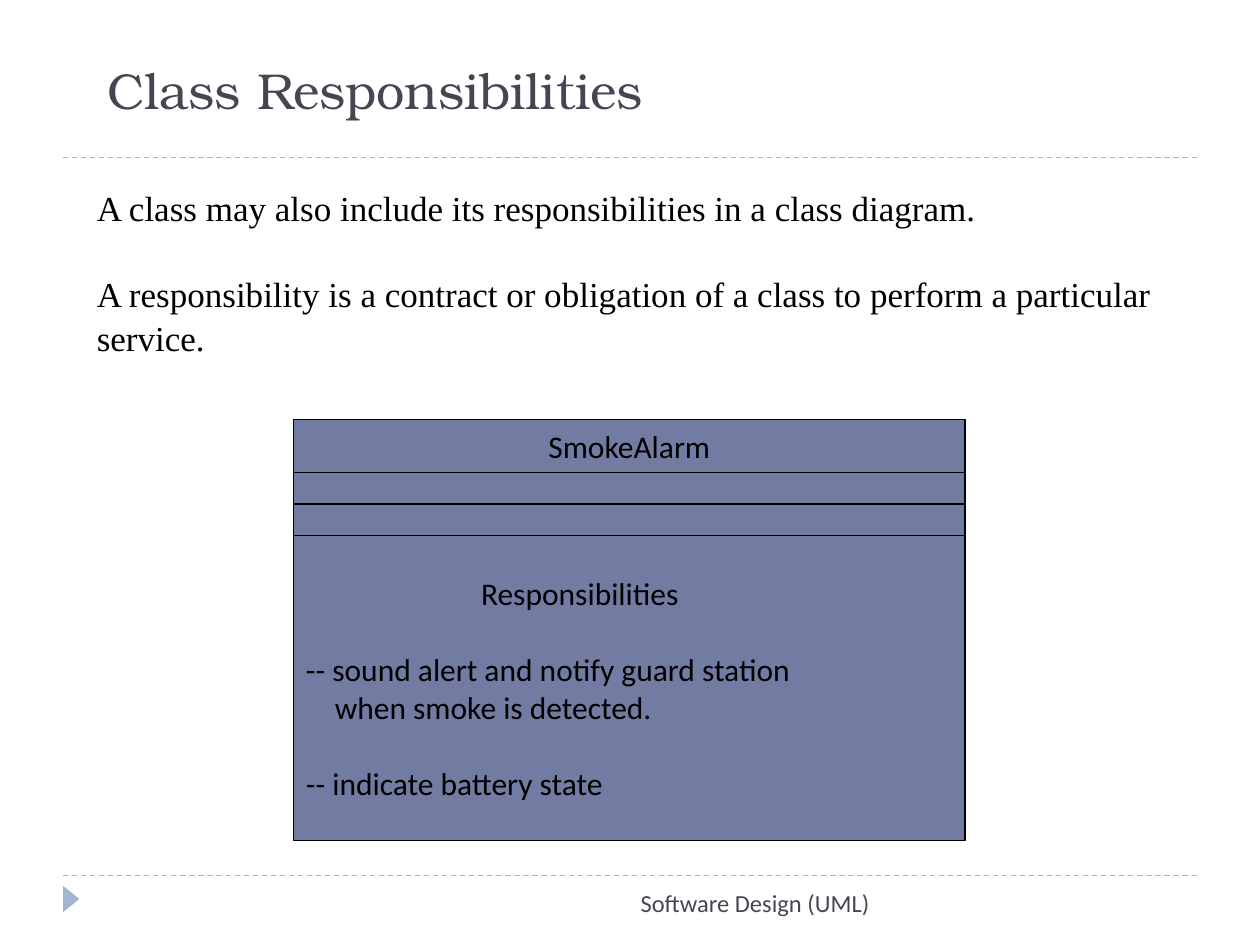
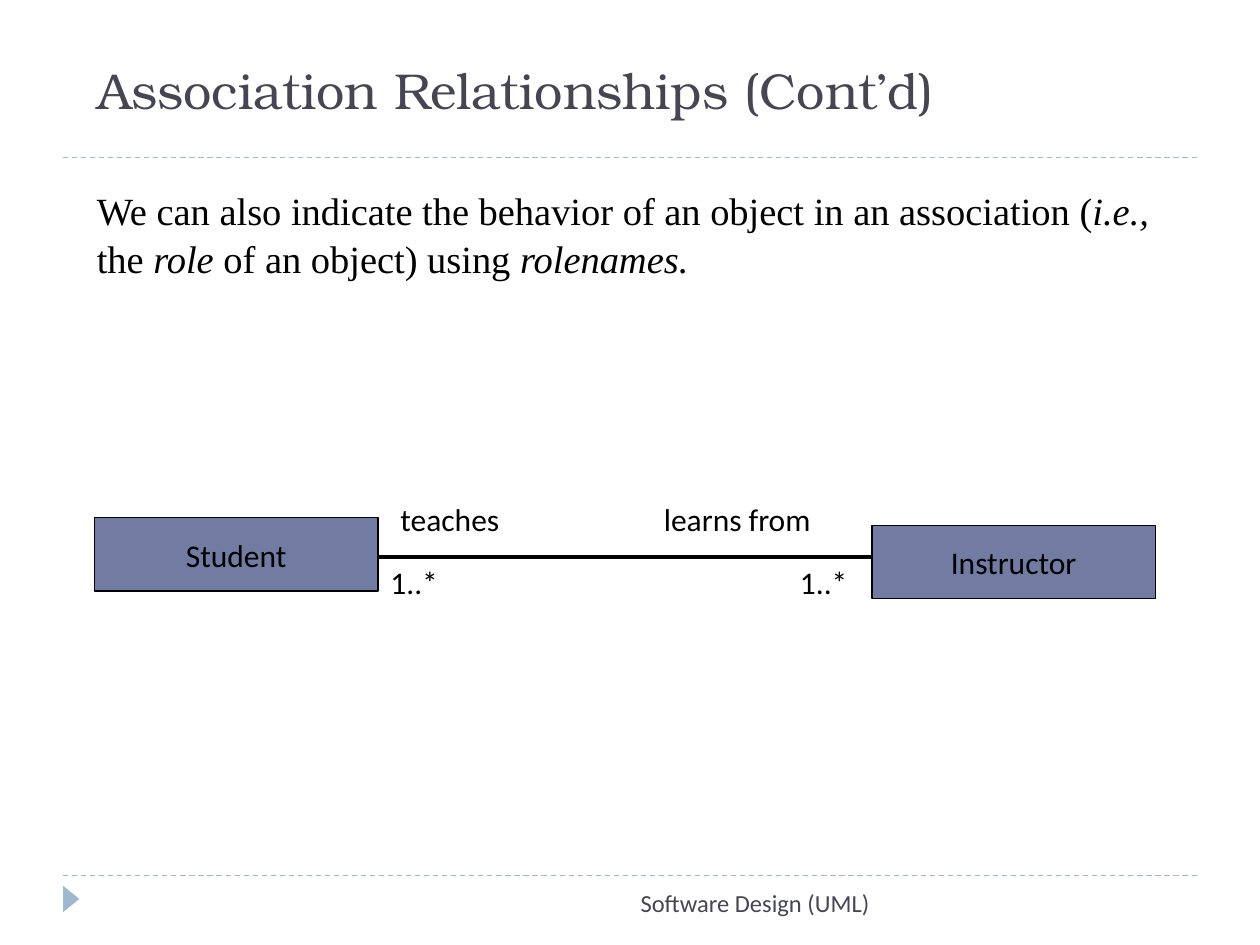
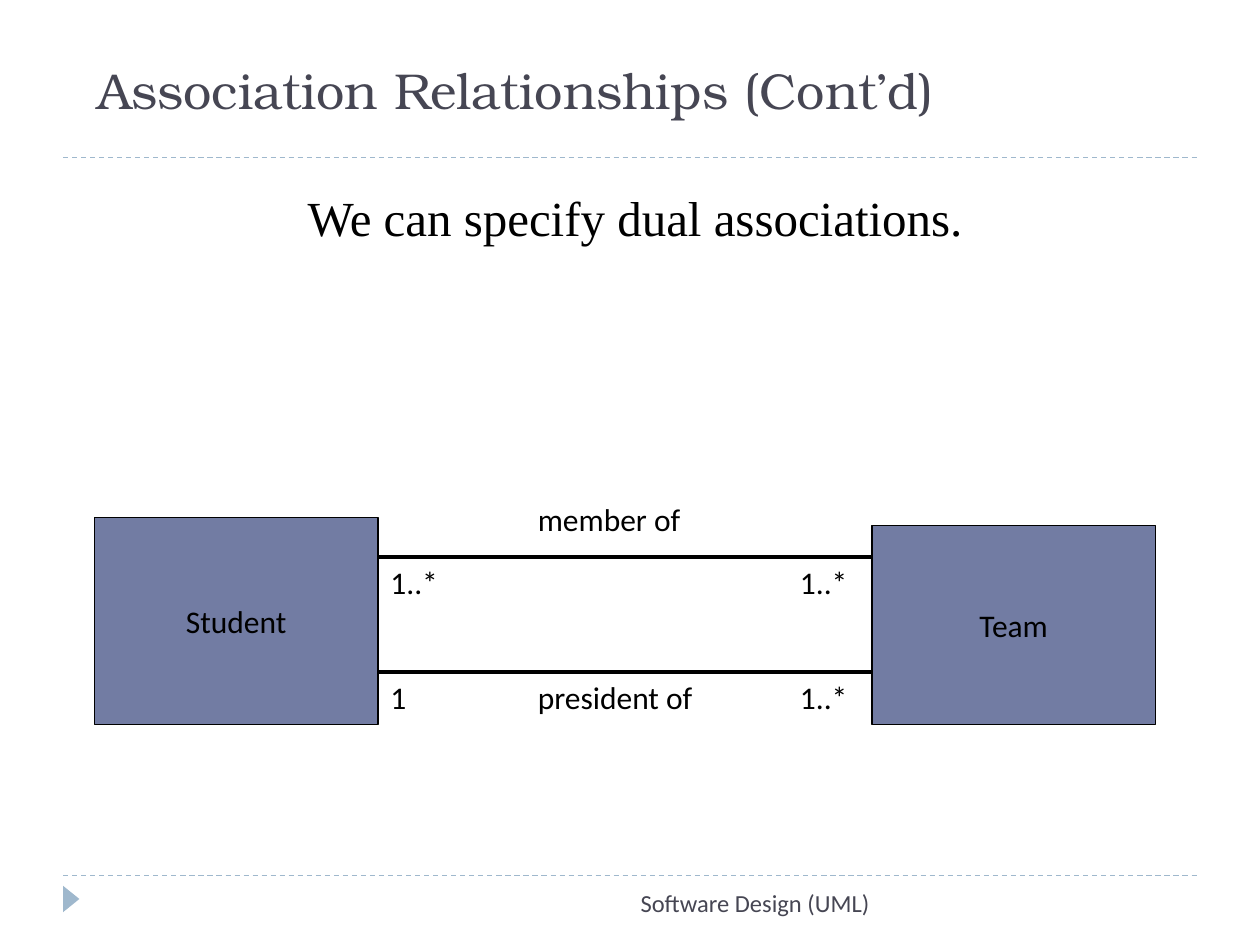
from dataclasses import dataclass

from lxml import etree
from pptx import Presentation
from pptx.dml.color import RGBColor as RGB
from pptx.enum.dml import MSO_LINE
from pptx.enum.shapes import MSO_CONNECTOR, MSO_SHAPE
from pptx.enum.text import MSO_ANCHOR as ANCHOR, PP_ALIGN as ALIGN
from pptx.oxml.ns import qn
from pptx.util import Inches, Pt


@dataclass(frozen=True)
class Theme:
    heading: RGB = RGB(0x46, 0x46, 0x53)
    accent: RGB = RGB(0x9F, 0xB8, 0xCD)
    box: RGB = RGB(0x72, 0x7C, 0xA3)
    ink: RGB = RGB(0, 0, 0)
    title_font: str = "TeX Gyre Bonum"
    body_font: str = "Times New Roman"
    label_font: str = "Calibri"
    title_size: float = 28.8
    label_size: float = 18
    footer_size: float = 14
    thin: float = 0.75
    thick: float = 2.25


class Deck:
    def __init__(self, theme):
        self.theme = theme
        self.prs = Presentation()
        self.prs.slide_width, self.prs.slide_height = Inches(10), Inches(7.5)
        self.slide = None

    def add_slide(self, title, left, width):
        t = self.theme
        self.slide = self.prs.slides.add_slide(self.prs.slide_layouts[5])
        for y in (6.95, 1.25):
            self.line(0.5, 9.5, y, t.accent, t.thin, MSO_LINE.DASH)
        marker = self.shape(MSO_SHAPE.ISOSCELES_TRIANGLE, 0.46, 7.07, 0.21, 0.13, t.accent)
        marker.rotation = 90
        self.text(2.58, 7, 4.42, 0.5, ["Software Design (UML)"], t.label_font,
                  t.footer_size, t.heading, ALIGN.RIGHT)

        sp = self.slide.shapes.title
        sp.left, sp.top, sp.width, sp.height = map(Inches, (left, 0.42, width, 0.58))
        self.fill_text(sp.text_frame, [title], t.title_font, t.title_size, t.heading,
                       ALIGN.LEFT, ANCHOR.BOTTOM)

    def fill_text(self, tf, lines, font, size, color, align=ALIGN.LEFT, anchor=ANCHOR.TOP):
        """Write one paragraph per line; *stars* set a part in italics."""
        tf.word_wrap = True
        tf.vertical_anchor = anchor
        for i, line in enumerate(lines):
            p = tf.add_paragraph() if i else tf.paragraphs[0]
            p.alignment = align
            for j, part in enumerate(line.split("*") if line.count("*") > 1 else [line]):
                if not part:
                    continue
                r = p.add_run()
                r.text = part
                r.font.name, r.font.size = font, Pt(size)
                r.font.color.rgb = color
                r.font.italic = j % 2 == 1

    def text(self, x, y, w, h, lines, font, size, color, align=ALIGN.LEFT):
        sp = self.slide.shapes.add_textbox(*map(Inches, (x, y, w, h)))
        self.fill_text(sp.text_frame, lines, font, size, color, align)
        return sp.text_frame

    def body(self, x, w, h, lines, size, align=ALIGN.LEFT):
        t = self.theme
        tf = self.text(x, 1.42, w, h, lines, t.body_font, size, t.ink, align)
        for i, p in enumerate(tf.paragraphs):
            p.line_spacing = 1.04
            if i:
                p.space_before = Pt(size * 1.2)

    def label(self, x, y, w, text):
        t = self.theme
        self.text(x, y, w, 0.5, [text], t.label_font, t.label_size, t.ink)

    def shape(self, kind, x, y, w, h, fill):
        sp = self.slide.shapes.add_shape(kind, *map(Inches, (x, y, w, h)))
        sp.shadow.inherit = False
        sp.fill.solid()
        sp.fill.fore_color.rgb = fill
        sp.line.fill.background()
        return sp

    def box(self, x, y, w, h, lines=(), align=ALIGN.CENTER):
        t = self.theme
        sp = self.shape(MSO_SHAPE.RECTANGLE, x, y, w, h, t.box)
        sp.line.color.rgb, sp.line.width = t.ink, Pt(t.thin)
        self.fill_text(sp.text_frame, lines, t.label_font, t.label_size, t.ink,
                       align, ANCHOR.MIDDLE)
        return sp.text_frame

    def line(self, x1, x2, y, color, width, dash=None):
        ln = self.slide.shapes.add_connector(
            MSO_CONNECTOR.STRAIGHT, *map(Inches, (x1, y, x2, y)))
        ln.line.color.rgb, ln.line.width = color, Pt(width)
        if dash:
            ln.line.dash_style = dash
        etree.SubElement(ln._element.spPr, qn("a:effectLst"))

    def association(self, y, left_count, right_count):
        self.line(3, 6.92, y, self.theme.ink, self.theme.thick)
        self.label(3, y, 0.75, left_count)
        self.label(6.25, y, 0.75, right_count)

    def class_pair(self, left_name, right_name, bottom_left, bottom_right):
        for x, top, bottom, name in ((0.75, 4.11, bottom_left, left_name),
                                     (6.92, 4.17, bottom_right, right_name)):
            self.box(x, top, 2.25, bottom - top, [name])


def responsibilities_slide(deck):
    deck.add_slide("Class Responsibilities", 0.75, 8.58)
    deck.body(0.67, 8.75, 1.45, [
        "A class may also include its responsibilities in a class diagram.",
        "A responsibility is a contract or obligation of a class to perform "
        "a particular service."], 20)
    left, width = 2.33, 5.33
    deck.box(left, 3.33, width, 0.42, ["SmokeAlarm"])
    for y in (3.75, 4):
        deck.box(left, y, width, 0.25)
    tf = deck.box(left, 4.25, width, 2.42, [
        "Responsibilities",
        "-- sound alert and notify guard station",
        "when smoke is detected.",
        "-- indicate battery state"], ALIGN.LEFT)
    heading, alert, alert_end, battery = tf.paragraphs
    for p, indent in ((heading, 1.39), (alert_end, 0.23)):
        p._p.get_or_add_pPr().set("marL", str(Inches(indent)))
    for p in (alert, battery):
        p.space_before = Pt(22)


def rolenames_slide(deck):
    deck.add_slide("Association Relationships (Cont’d)", 0.67, 9)
    deck.body(0.67, 8.87, 0.84, [
        "We can also indicate the behavior of an object in an association "
        "(*i.e.,* the *role *of an object) using *rolenames.*"], 22)
    deck.association(4.42, "1..*", "1..*")
    deck.class_pair("Student", "Instructor", 4.69, 4.75)
    deck.label(5.17, 3.92, 1.75, "learns from")
    deck.label(3.08, 3.92, 1.25, "teaches")


def dual_associations_slide(deck):
    deck.add_slide("Association Relationships (Cont’d)", 0.67, 8.83)
    deck.body(0.75, 8.58, 0.57, ["We can specify dual associations."], 28, ALIGN.CENTER)
    deck.association(4.42, "1..*", "1..*")
    deck.association(5.33, "1", "1..*")
    deck.class_pair("Student", "Team", 5.75, 5.75)
    deck.label(4.17, 3.92, 1.92, "member of")
    deck.label(4.17, 5.33, 1.92, "president of")


def main():
    deck = Deck(Theme())
    responsibilities_slide(deck)
    rolenames_slide(deck)
    dual_associations_slide(deck)
    deck.prs.save("out.pptx")


if __name__ == "__main__":
    main()
